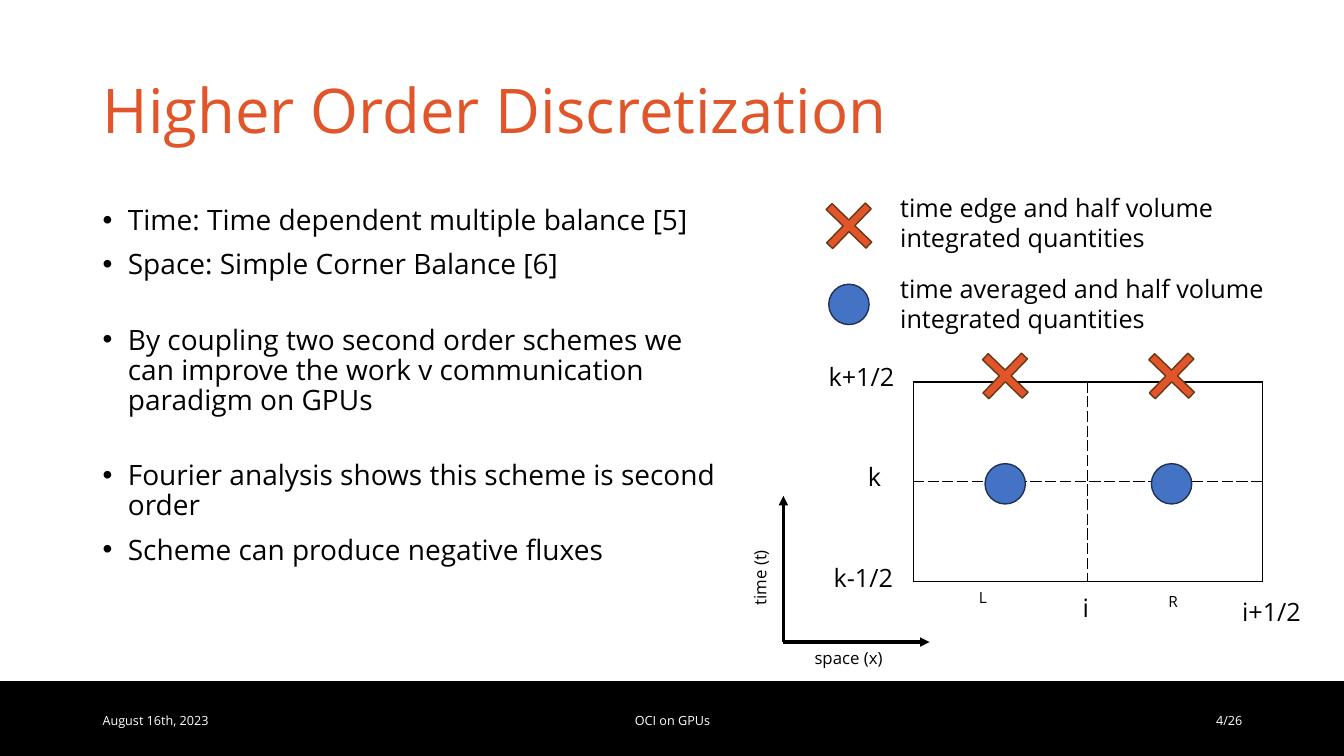
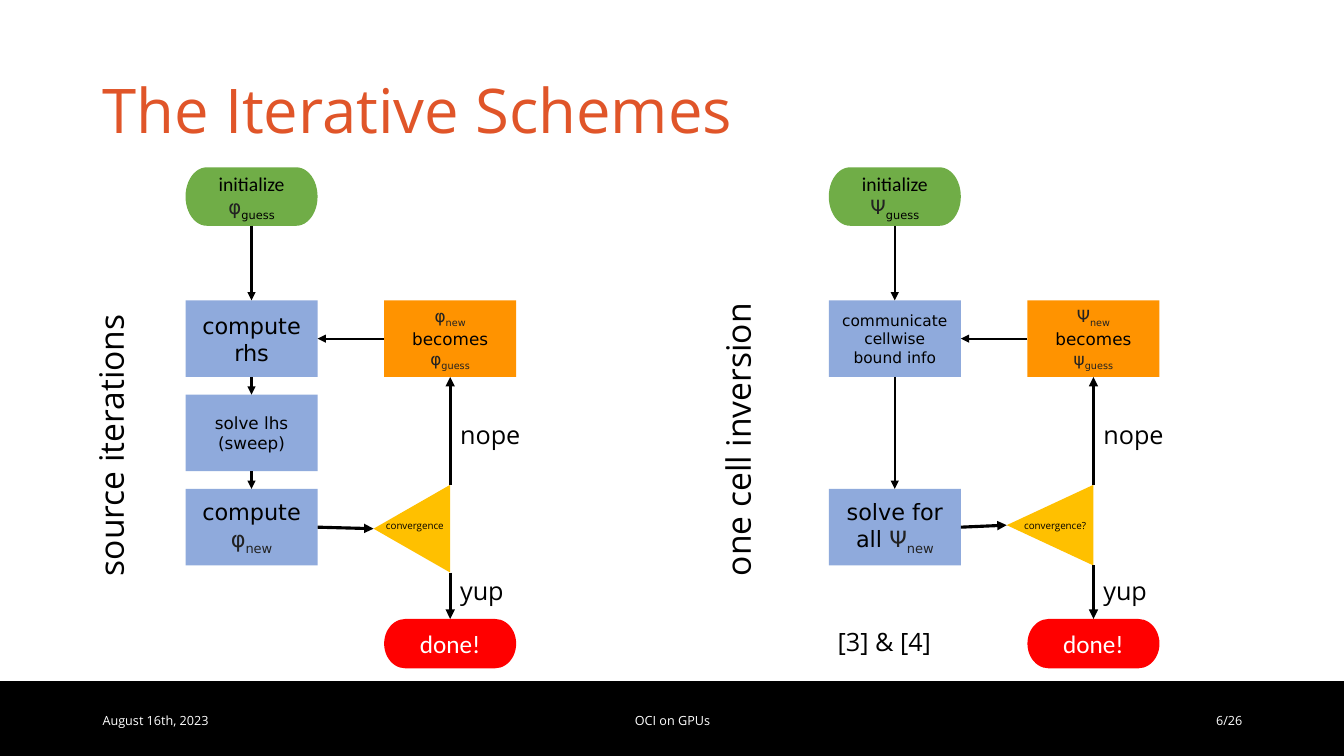
"""Build two slides on second order discretization and iterative schemes."""
from lxml import etree
from pptx import Presentation
from pptx.dml.color import RGBColor
from pptx.enum.shapes import MSO_CONNECTOR, MSO_SHAPE
from pptx.enum.text import MSO_ANCHOR, PP_ALIGN
from pptx.oxml.ns import qn
from pptx.util import Inches, Pt

LEFT, CENTER, RIGHT = PP_ALIGN.LEFT, PP_ALIGN.CENTER, PP_ALIGN.RIGHT
TOP, MIDDLE = MSO_ANCHOR.TOP, MSO_ANCHOR.MIDDLE
RECTANGLE, TERMINATOR = MSO_SHAPE.RECTANGLE, MSO_SHAPE.FLOWCHART_TERMINATOR
CROSS, OVAL = MSO_SHAPE.CROSS, MSO_SHAPE.OVAL
TRIANGLE = MSO_SHAPE.ISOSCELES_TRIANGLE
STRAIGHT = MSO_CONNECTOR.STRAIGHT

WIDTH, HEIGHT = 13.33, 7.5
MARGIN = 0.92
BLACK, WHITE, ORANGE, INK = "000000", "FFFFFF", "E05529", "222222"
BLUE, STEEL, AMBER = "4472C4", "8FAADC", "FF9300"
GREEN, RED, YELLOW = "70AD47", "FF0000", "FFC000"
SANS, SYMBOL, PLAIN = "Open Sans", "DejaVu Sans", "Calibri"

FOOTERS = [
    ("August 16th, 2023", MARGIN, 3, LEFT),
    ("OCI on GPUs", 4.42, 4.5, CENTER),
]
BULLETS = [
    ("Time: Time dependent multiple balance [5]", 10),
    ("Space: Simple Corner Balance [6]", 10),
    ("By coupling two second order schemes we can improve the work v "
     "communication paradigm on GPUs", 32),
    ("Fourier analysis shows this scheme is second order", 32),
    ("Scheme can produce negative fluxes", 10),
]
MESH_LEFT, MESH_TOP, CELL_WIDTH, CELL_HEIGHT = 9.06, 3.79, 1.73, 0.99
MARKER_COLUMNS = (9.97, 11.62)
CROSS_ROW, DOT_ROW = 3.73, 4.8
LEGEND_COLUMN, LEGEND_CROSS_ROW, LEGEND_DOT_ROW = 8.42, 2.24, 3.02
MESH_LABELS = [
    ("time edge and half volume integrated quantities", 8.83, 1.86, 4.22, 18),
    ("time averaged and half volume integrated quantities", 8.83, 2.66, 4.1, 18),
    ("k+1/2", 8.12, 3.54, 1.13, 18),
    ("k", 8.51, 4.53, 1.03, 18),
    ("k-1/2", 8.17, 5.53, 1.03, 18),
    ("L", 9.61, 5.79, 0.31, 11),
    ("i", 10.64, 5.83, 0.31, 18),
    ("R", 11.49, 5.83, 0.31, 11),
    ("i+1/2", 12.22, 5.87, 0.95, 18),
    ("space (x)", 7.98, 6.38, 1.11, 12),
]
AXIS_X, AXIS_Y, AXIS_LENGTH = 7.77, 6.37, 1.45

BOX_WIDTH, BOX_HEIGHT = 1.31, 0.76
ROW_TOP, ROW_PITCH, COLUMN_PITCH = 2.98, 0.935, 1.97
START_TOP, START_HEIGHT = 1.66, 0.58
DONE_TOP, DONE_HEIGHT = 6.14, 0.49
DECISION_TOP = 4.81


def symbol(letter, subscript, color=INK):
    """Return the runs of a letter with a subscript."""
    return [(letter, {"color": INK, "font": SYMBOL}),
            (subscript, {"color": color, "font": SYMBOL, "baseline": -25})]


SCHEMES = [
    {"name": "source iterations", "name_left": -0.58, "left": 1.84,
     "start": symbol("φ", "guess", BLACK),
     "steps": [(0, 16, [("compute rhs", {})]),
               (1, 12, [("solve lhs (sweep)", {})]),
               (2, 16, [("compute ", {})] + symbol("φ", "new"))],
     "update": symbol("φ", "new") + [(" becomes ", {})] + symbol("φ", "guess"),
     "question": "convergence", "question_left": 3.73,
     "decision": (0.76, 0.87)},
    {"name": "one cell inversion", "name_left": 5.64, "left": 8.22,
     "start": symbol("Ψ", "guess", BLACK),
     "steps": [(0, 11, [("communicate cellwise bound info", {})]),
               (2, 16, [("solve for all ", {})] + symbol("Ψ", "new"))],
     "update": symbol("Ψ", "new") + [(" becomes ", {})] + symbol("ψ", "guess"),
     "question": "convergence?", "question_left": 10.06,
     "decision": (0.86, 0.8)},
]


def rgb(color):
    """Turn a hex string into a colour."""
    return RGBColor.from_string(color)


def add_bullet(paragraph):
    """Give a paragraph a hanging bullet."""
    properties = paragraph._p.get_or_add_pPr()
    properties.set("marL", str(Inches(0.25)))
    properties.set("indent", str(-Inches(0.25)))
    etree.SubElement(properties, qn("a:buFont"), typeface="Arial")
    etree.SubElement(properties, qn("a:buChar"), char="•")


def write(shape, text, size=18, color=BLACK, font=SANS, align=LEFT,
          anchor=TOP, line_spacing=None, bullets=False):
    """Fill a shape with a string, a list of runs, or spaced bullets."""
    frame = shape.text_frame
    frame.word_wrap = True
    frame.vertical_anchor = anchor
    paragraphs = text if bullets else [(text, 0)]
    for index, (content, gap) in enumerate(paragraphs):
        paragraph = frame.add_paragraph() if index else frame.paragraphs[0]
        if bullets:
            add_bullet(paragraph)
        paragraph.alignment = align
        if line_spacing:
            paragraph.line_spacing = line_spacing
        if index:
            paragraph.space_before = Pt(gap)
        runs = [(content, {})] if isinstance(content, str) else content
        for words, change in runs:
            run = paragraph.add_run()
            run.text = words
            run.font.size = Pt(size)
            run.font.name = change.get("font", font)
            run.font.color.rgb = rgb(change.get("color", color))
            if "baseline" in change:
                run._r.get_or_add_rPr().set("baseline", str(change["baseline"] * 1000))


def add_text(slide, text, left, top, width, height=0.4, rotation=0, **style):
    """Add a text box."""
    box = slide.shapes.add_textbox(*map(Inches, (left, top, width, height)))
    box.rotation = rotation
    write(box, text, **style)


def add_shape(slide, kind, left, top, width, height, fill, outline=None, rotation=0):
    """Add a flat preset shape."""
    shape = slide.shapes.add_shape(kind, *map(Inches, (left, top, width, height)))
    shape.shadow.inherit = False
    shape.rotation = rotation
    shape.fill.solid()
    shape.fill.fore_color.rgb = rgb(fill)
    if outline:
        shape.line.color.rgb = rgb(outline)
        shape.line.width = Pt(1)
    else:
        shape.line.fill.background()
    return shape


def add_arrow(slide, start, end, width=2.25):
    """Add a straight arrow between two points."""
    connector = slide.shapes.add_connector(STRAIGHT, *map(Inches, (*start, *end)))
    connector.line.color.rgb = rgb(BLACK)
    connector.line.width = Pt(width)
    properties = connector._element.spPr
    etree.SubElement(properties.find(qn("a:ln")), qn("a:tailEnd"), type="triangle")
    etree.SubElement(properties, qn("a:effectLst"))


def add_base(presentation, title, page):
    """Add a slide with its title and footer band."""
    slide = presentation.slides.add_slide(presentation.slide_layouts[6])
    add_shape(slide, RECTANGLE, -0.01, 6.76, 13.4, 0.74, BLACK, BLACK)
    add_text(slide, title, MARGIN, 0.4, 10.47, 1.45, size=44, color=ORANGE,
             anchor=MIDDLE, line_spacing=0.9)
    for text, left, width, align in FOOTERS + [(page, 9.42, 3, RIGHT)]:
        add_text(slide, text, left, 6.95, width, size=9, color=WHITE,
                 align=align, anchor=MIDDLE)
    return slide


def add_mesh(slide):
    """Add the two by two mesh with dashed inner lines."""
    frame = slide.shapes.add_table(2, 2, *map(Inches, (
        MESH_LEFT, MESH_TOP, 2 * CELL_WIDTH, 2 * CELL_HEIGHT)))
    table = frame.table
    table.first_row = table.horz_banding = False
    for index in range(2):
        table.columns[index].width = Inches(CELL_WIDTH)
        table.rows[index].height = Inches(CELL_HEIGHT)
    for row in range(2):
        for column in range(2):
            cell = table.cell(row, column)
            properties = cell._tc.get_or_add_tcPr()
            inner = {"L": column == 1, "R": column == 0, "T": row == 1, "B": row == 0}
            for side, dashed in inner.items():
                line = etree.SubElement(properties, qn("a:ln" + side), w=str(Pt(1)))
                fill = etree.SubElement(line, qn("a:solidFill"))
                etree.SubElement(fill, qn("a:srgbClr"), val=BLACK)
                etree.SubElement(line, qn("a:prstDash"),
                                 val="sysDash" if dashed else "solid")
            cell.fill.background()


def add_marker(slide, kind, x, y):
    """Add a cross or a dot centred on a point."""
    if kind == CROSS:
        size, fill, outline, rotation = 0.55, ORANGE, "683715", 44.1
    else:
        size, fill, outline, rotation = 0.4, BLUE, "1E3256", 0
    marker = add_shape(slide, kind, x - size / 2, y - size / 2, size, size,
                       fill, outline, rotation)
    if kind == CROSS:
        marker.adjustments[0] = 0.425


def build_discretization(presentation):
    """Build the slide with bullets and the space-time mesh."""
    slide = add_base(presentation, "Higher Order Discretization", "4/26")
    add_text(slide, BULLETS, MARGIN, 2, 6.34, 4.76, size=20,
             line_spacing=0.9, bullets=True)
    add_mesh(slide)
    for kind, row, legend_row in ((CROSS, CROSS_ROW, LEGEND_CROSS_ROW),
                                  (OVAL, DOT_ROW, LEGEND_DOT_ROW)):
        add_marker(slide, kind, LEGEND_COLUMN, legend_row)
        for column in MARKER_COLUMNS:
            add_marker(slide, kind, column, row)
    for text, left, top, width, size in MESH_LABELS:
        add_text(slide, text, left, top, width, size=size)
    add_text(slide, "time (t)", 6.98, 5.4, 1.11, 0.3, rotation=270, size=12)
    origin = (AXIS_X, AXIS_Y)
    add_arrow(slide, origin, (AXIS_X, AXIS_Y - AXIS_LENGTH))
    add_arrow(slide, origin, (AXIS_X + AXIS_LENGTH, AXIS_Y))


def add_node(slide, kind, left, top, height, fill, text, **style):
    """Add a flowchart box with centred text."""
    node = add_shape(slide, kind, left, top, BOX_WIDTH, height, fill)
    write(node, text, align=CENTER, anchor=MIDDLE, **style)


def add_scheme(slide, scheme):
    """Add one iteration flowchart."""
    left = scheme["left"]
    right = left + COLUMN_PITCH
    main, side = left + BOX_WIDTH / 2, right + BOX_WIDTH / 2
    add_text(slide, scheme["name"], scheme["name_left"], 3.89, 3.35, 0.5,
             rotation=270, size=24)
    add_node(slide, TERMINATOR, left, START_TOP, START_HEIGHT, GREEN,
             [("initialize ", {})] + scheme["start"], size=14, font=PLAIN)
    bottom = START_TOP + START_HEIGHT
    for row, size, runs in scheme["steps"]:
        top = ROW_TOP + row * ROW_PITCH
        add_node(slide, RECTANGLE, left, top, BOX_HEIGHT, STEEL, runs,
                 size=size, font=SYMBOL)
        add_arrow(slide, (main, bottom), (main, top), 1.5)
        bottom = top + BOX_HEIGHT
    add_node(slide, RECTANGLE, right, ROW_TOP, BOX_HEIGHT, AMBER,
             scheme["update"], size=12, font=SYMBOL)
    add_node(slide, TERMINATOR, right, DONE_TOP, DONE_HEIGHT, RED, "done!",
             color=WHITE, font=PLAIN)

    width, height = scheme["decision"]
    middle = DECISION_TOP + height / 2
    add_shape(slide, TRIANGLE, side - (width + height) / 2, middle - width / 2,
              height, width, YELLOW, rotation=270)
    add_text(slide, scheme["question"], scheme["question_left"], 5.11, 1.15, 0.22, size=7)
    update_middle = ROW_TOP + BOX_HEIGHT / 2
    add_arrow(slide, (right, update_middle), (left + BOX_WIDTH, update_middle), 1.5)
    add_arrow(slide, (left + BOX_WIDTH, bottom - BOX_HEIGHT / 2), (side - width, middle))
    add_arrow(slide, (side, DECISION_TOP), (side, ROW_TOP + BOX_HEIGHT))
    add_arrow(slide, (side, DECISION_TOP + height), (side, DONE_TOP))
    for answer, top in (("nope", 4.11), ("yup", 5.66)):
        add_text(slide, answer, side, top, 0.88)


def build_schemes(presentation):
    """Build the slide with the two flowcharts."""
    slide = add_base(presentation, "The Iterative Schemes", "6/26")
    for scheme in SCHEMES:
        add_scheme(slide, scheme)
    add_text(slide, "[3] & [4]", 8.21, 6.16, 1.3)


def main():
    """Build and save the presentation."""
    presentation = Presentation()
    presentation.slide_width, presentation.slide_height = Inches(WIDTH), Inches(HEIGHT)
    build_discretization(presentation)
    build_schemes(presentation)
    presentation.save("out.pptx")


if __name__ == "__main__":
    main()
